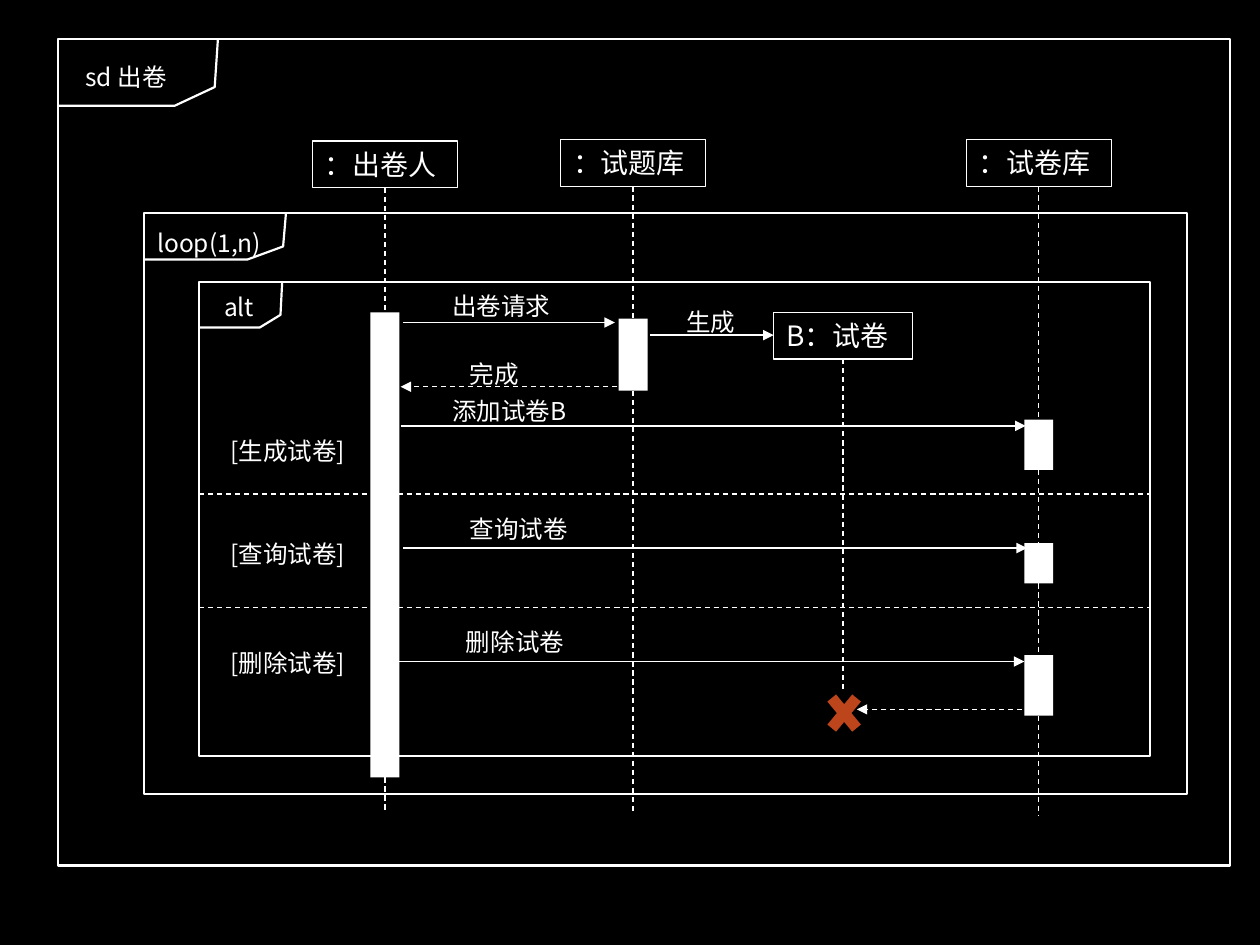
from lxml import etree
from pptx import Presentation
from pptx.dml.color import RGBColor
from pptx.enum.dml import MSO_LINE
from pptx.enum.shapes import MSO_CONNECTOR, MSO_SHAPE
from pptx.enum.text import MSO_ANCHOR, MSO_AUTO_SIZE, PP_ALIGN
from pptx.oxml.ns import qn
from pptx.util import Inches, Pt

BLACK = RGBColor(0x00, 0x00, 0x00)
WHITE = RGBColor(0xFF, 0xFF, 0xFF)
RUST = RGBColor(0xBC, 0x45, 0x1B)
FONT = "Noto Sans CJK SC"
BAR_W = 0.23
LABEL_H = 0.34


def write(sp, text, size):
    tf = sp.text_frame
    frame_format = {
        "word_wrap": True,
        "auto_size": MSO_AUTO_SIZE.SHAPE_TO_FIT_TEXT,
        "vertical_anchor": MSO_ANCHOR.TOP,
    }
    for name, value in frame_format.items():
        setattr(tf, name, value)
    p = tf.paragraphs[0]
    p.alignment = PP_ALIGN.LEFT
    r = p.add_run()
    r.text = text
    for name, value in {"size": Pt(size), "name": FONT}.items():
        setattr(r.font, name, value)
    r.font.color.rgb = WHITE
    etree.SubElement(r.font._element, qn("a:ea")).set("typeface", FONT)


def add_label(s, box, text):
    write(s.shapes.add_textbox(*map(Inches, box)), text, 14)


def outline(sp, width):
    sp.shadow.inherit = False
    sp.fill.background()
    sp.line.color.rgb = WHITE
    sp.line.width = Pt(width)


def add_outlined(s, box, width):
    sp = s.shapes.add_shape(MSO_SHAPE.RECTANGLE, *map(Inches, box))
    outline(sp, width)
    return sp


def add_solid(s, kind, box, color):
    sp = s.shapes.add_shape(kind, *map(Inches, box))
    sp.shadow.inherit = False
    sp.fill.solid()
    sp.fill.fore_color.rgb = color
    sp.line.fill.background()


def add_line(s, start, end, dashed=False, arrow=False):
    sp = s.shapes.add_connector(MSO_CONNECTOR.STRAIGHT, *map(Inches, start + end))
    sp.line.color.rgb = WHITE
    sp.line.width = Pt(0.75)
    if dashed:
        sp.line.dash_style = MSO_LINE.DASH
    if arrow:
        etree.SubElement(sp.line._get_or_add_ln(), qn("a:tailEnd")).set("type", "triangle")
    etree.SubElement(sp._element.spPr, qn("a:effectLst"))


def add_frame(s, box, tab, title, title_box):
    x, y, _, _ = box
    w, h = tab
    add_outlined(s, box, 1.25)
    builder = s.shapes.build_freeform(Inches(x + w), Inches(y), scale=1.0)
    corners = [(0.98 * w, 0.72 * h), (0.73 * w, h), (0, h)]
    builder.add_line_segments(
        [(Inches(x + dx), Inches(y + dy)) for dx, dy in corners], close=False)
    outline(builder.convert_to_shape(), 1.25)
    dx, dy, title_w = title_box
    add_label(s, (x + dx, y + dy, title_w, LABEL_H), title)


def add_lifeline(s, box, name, bars, end):
    x, y, w, h = box
    write(add_outlined(s, box, 0.75), name, 16)
    center, top = x + w / 2, y + h
    for bar_top, bar_h in bars:
        add_line(s, (center, top), (center, bar_top), dashed=True)
        add_solid(s, MSO_SHAPE.RECTANGLE, (center - BAR_W / 2, bar_top, BAR_W, bar_h), WHITE)
        top = bar_top + bar_h
    add_line(s, (center, top), (center, end), dashed=True)


def add_operands(s, box, dividers, guards):
    x, y, w, _ = box
    for dy in dividers:
        add_line(s, (x, y + dy), (x + w, y + dy), dashed=True)
    for dy, text in guards:
        add_label(s, (x + 0.15, y + dy, 1.15, LABEL_H), text)


def add_message(s, start, end, y, dashed=False, label=None):
    add_line(s, (start, y), (end, y), dashed, arrow=True)
    if label:
        text, left, rise, width = label
        add_label(s, (left, y - rise, width, LABEL_H), text)


def main():
    prs = Presentation()
    prs.slide_width, prs.slide_height = Inches(10), Inches(7.5)
    s = prs.slides.add_slide(prs.slide_layouts[6])
    s.background.fill.solid()
    s.background.fill.fore_color.rgb = BLACK

    alt_box = (1.58, 2.24, 7.55, 3.76)
    frames = [
        ((0.46, 0.31, 9.3, 6.56), (1.27, 0.53), "sd 出卷", (0.12, 0.13, 1.09)),
        ((1.14, 1.69, 8.28, 4.61), (1.13, 0.37), "loop(1,n)", (0.01, 0.07, 1.11)),
        (alt_box, (0.66, 0.36), "alt", (0.1, 0.03, 0.6)),
    ]
    for frame in frames:
        add_frame(s, *frame)

    lifelines = [
        ((2.48, 1.12, 1.15, 0.37), "：出卷人", [(2.48, 3.69)], 6.44),
        ((4.45, 1.11, 1.15, 0.37), "：试题库", [(2.53, 0.57)], 6.44),
        ((6.14, 2.48, 1.1, 0.37), "B：试卷", [], 5.48),
        ((7.67, 1.11, 1.15, 0.37), "：试卷库", [(3.33, 0.4), (4.31, 0.32), (5.2, 0.48)], 6.48),
    ]
    for lifeline in lifelines:
        add_lifeline(s, *lifeline)

    add_operands(s, alt_box, [1.68, 2.58],
                 [(1.17, "[生成试卷]"), (1.99, "[查询试卷]"), (2.85, "[删除试卷]")])
    add_solid(s, MSO_SHAPE.MATH_MULTIPLY, (6.51, 5.43, 0.38, 0.46), RUST)

    messages = [
        (3.2, 4.88, 2.56, False, ("出卷请求", 3.49, 0.3, 1.03)),
        (5.16, 6.14, 2.66, False, ("生成", 5.35, 0.27, 0.66)),
        (4.9, 3.18, 3.07, True, ("完成", 3.63, 0.27, 0.66)),
        (3.18, 8.14, 3.38, False, ("添加试卷B", 3.49, 0.29, 1.31)),
        (3.2, 8.15, 4.35, False, ("查询试卷", 3.63, 0.32, 1.24)),
        (3.17, 8.13, 5.25, False, ("删除试卷", 3.6, 0.32, 1.24)),
        (8.11, 6.8, 5.63, True),
    ]
    for message in messages:
        add_message(s, *message)

    prs.save("out.pptx")


if __name__ == "__main__":
    main()
